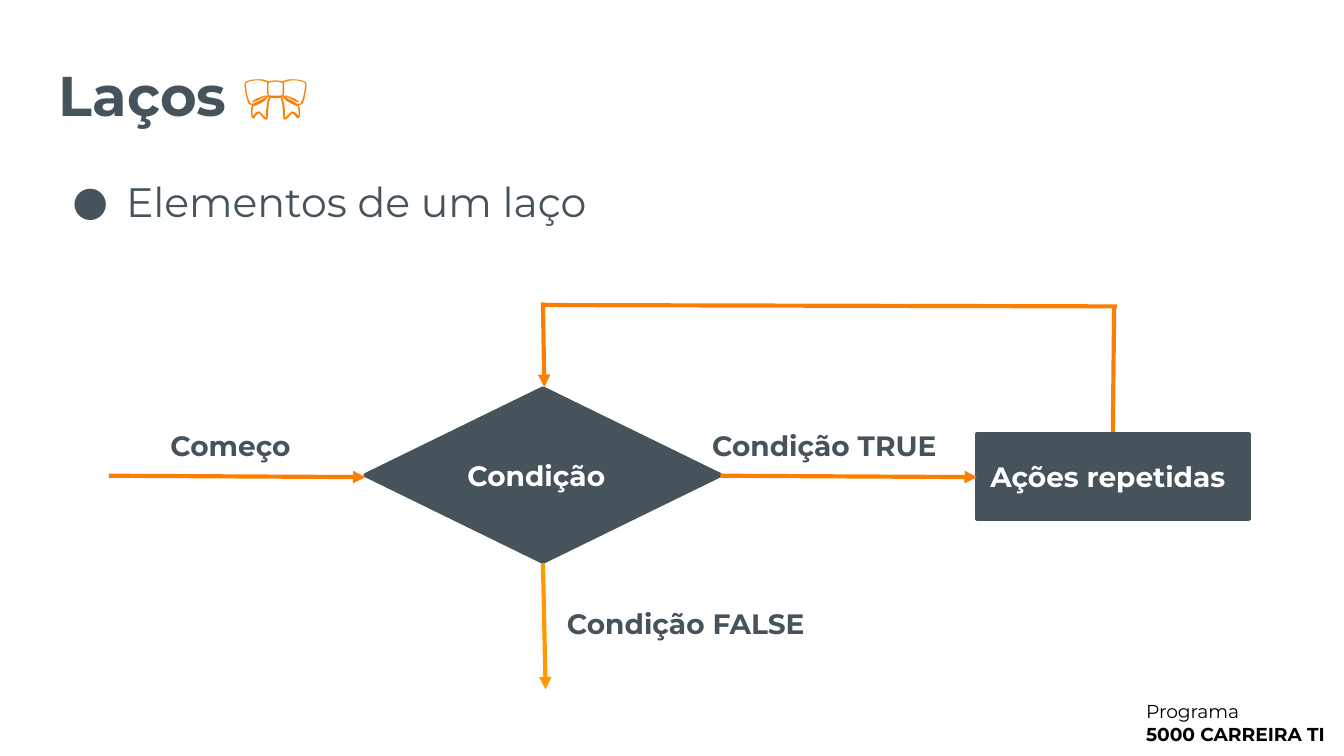
import pptx
import pptx.dml.color
import pptx.enum.shapes
import pptx.enum.text
import pptx.oxml.ns
import pptx.util
from lxml import etree
from pptx.util import Inches

SLATE, ORANGE, AMBER = "46535B", "FE7E02", "FF9900"
WHITE, BLACK = "FFFFFF", "000000"
FONT = "Montserrat"
SHAPE = pptx.enum.shapes.MSO_SHAPE
TOP = pptx.enum.text.MSO_ANCHOR.TOP
MIDDLE = pptx.enum.text.MSO_ANCHOR.MIDDLE


def rgb(color):
    return pptx.dml.color.RGBColor.from_string(color)


def add_xml(parent, tag, **attributes):
    return etree.SubElement(parent, pptx.oxml.ns.qn(tag), **attributes)


def add_run(paragraph, text, size=15, color=SLATE, bold=True):
    run = paragraph.add_run()
    run.text = text
    run.font.name = FONT
    run.font.size = pptx.util.Pt(size)
    run.font.bold = bold
    run.font.color.rgb = rgb(color)


def prepare_frame(frame, anchor=TOP):
    frame.word_wrap = True
    frame.vertical_anchor = anchor
    frame.margin_left = frame.margin_right = Inches(0.1)
    frame.margin_top = frame.margin_bottom = Inches(0.1)
    paragraph = frame.paragraphs[0]
    paragraph.alignment = pptx.enum.text.PP_ALIGN.LEFT
    return paragraph


def add_text(slide, text, left, top, width, height, anchor=TOP, **style):
    """Add a text box and return its first paragraph and frame."""
    box = slide.shapes.add_textbox(*map(Inches, (left, top, width, height)))
    paragraph = prepare_frame(box.text_frame, anchor)
    add_run(paragraph, text, **style)
    return paragraph, box.text_frame


def add_bullet(paragraph, symbol, color, indent, hanging):
    properties = paragraph._p.get_or_add_pPr()
    properties.set("marL", str(Inches(indent)))
    properties.set("indent", str(-Inches(hanging)))
    add_xml(add_xml(properties, "a:buClr"), "a:srgbClr", val=color)
    add_xml(properties, "a:buFont", typeface=FONT)
    add_xml(properties, "a:buChar", char=symbol)


def add_node(slide, kind, text, left, top, width, height):
    node = slide.shapes.add_shape(kind, *map(Inches, (left, top, width, height)))
    node.shadow.inherit = False
    node.fill.solid()
    node.fill.fore_color.rgb = rgb(SLATE)
    node.line.color.rgb = rgb(SLATE)
    node.line.width = pptx.util.Pt(2.25)
    add_run(prepare_frame(node.text_frame, MIDDLE), text, color=WHITE)


def add_flow(slide, start, end, color=ORANGE, arrow=True):
    flow = slide.shapes.add_connector(
        pptx.enum.shapes.MSO_CONNECTOR.STRAIGHT, *map(Inches, start + end))
    flow.line.color.rgb = rgb(color)
    flow.line.width = pptx.util.Pt(2.25)
    if arrow:
        add_xml(flow.line._get_or_add_ln(), "a:tailEnd", type="triangle")
    add_xml(flow._element.spPr, "a:effectLst")


def main():
    # Widescreen page, 16 to 9
    deck = pptx.Presentation()
    deck.slide_width = Inches(10)
    deck.slide_height = Inches(10) * 9 // 16
    slide = deck.slides.add_slide(deck.slide_layouts[6])

    # Program name in the corner
    _, program = add_text(slide, "Programa", 8.43, 5.11, 1.74, 0.54,
                          size=10, color=BLACK, bold=False)
    add_run(program.add_paragraph(), "5000 CARREIRA TI", size=10, color=BLACK)

    # Way back from the actions, first part
    add_flow(slide, (8.28, 3.23), (8.29, 2.28), arrow=False)

    # Topic and heading
    topic, _ = add_text(slide, "Elementos de um laço", 0.34, 1.21, 8.57, 3.98,
                        size=22, bold=False)
    add_bullet(topic, "●", SLATE, indent=0.5, hanging=0.4)
    heading, _ = add_text(slide, "Laços ", 0.34, 0.14, 8.57, 1.07,
                          anchor=MIDDLE, size=30)
    add_run(heading, "🎀", size=34, color=ORANGE)
    add_run(heading, " ", size=30)

    # Condition and repeated actions
    add_node(slide, SHAPE.DIAMOND, "Condição", 2.72, 2.89, 2.64, 1.29)
    add_node(slide, SHAPE.RECTANGLE, "Ações repetidas", 7.27, 3.23, 2.02, 0.63)

    # True, start and false branches
    add_flow(slide, (5.36, 3.54), (7.27, 3.55))
    add_flow(slide, (0.81, 3.54), (2.72, 3.55))
    add_flow(slide, (4.04, 4.19), (4.06, 5.13), color=AMBER)
    for label, left, top, width in (("Condição TRUE", 5.2, 3.09, 1.91),
                                    ("Condição FALSE", 4.12, 4.41, 2.02),
                                    ("Começo", 1.17, 3.09, 1.18)):
        add_text(slide, label, left, top, width, 0.38)

    # Way back to the condition, last parts
    add_flow(slide, (4.04, 2.25), (4.05, 2.88))
    add_flow(slide, (8.31, 2.28), (4.04, 2.27), arrow=False)

    deck.save("out.pptx")


if __name__ == "__main__":
    main()
